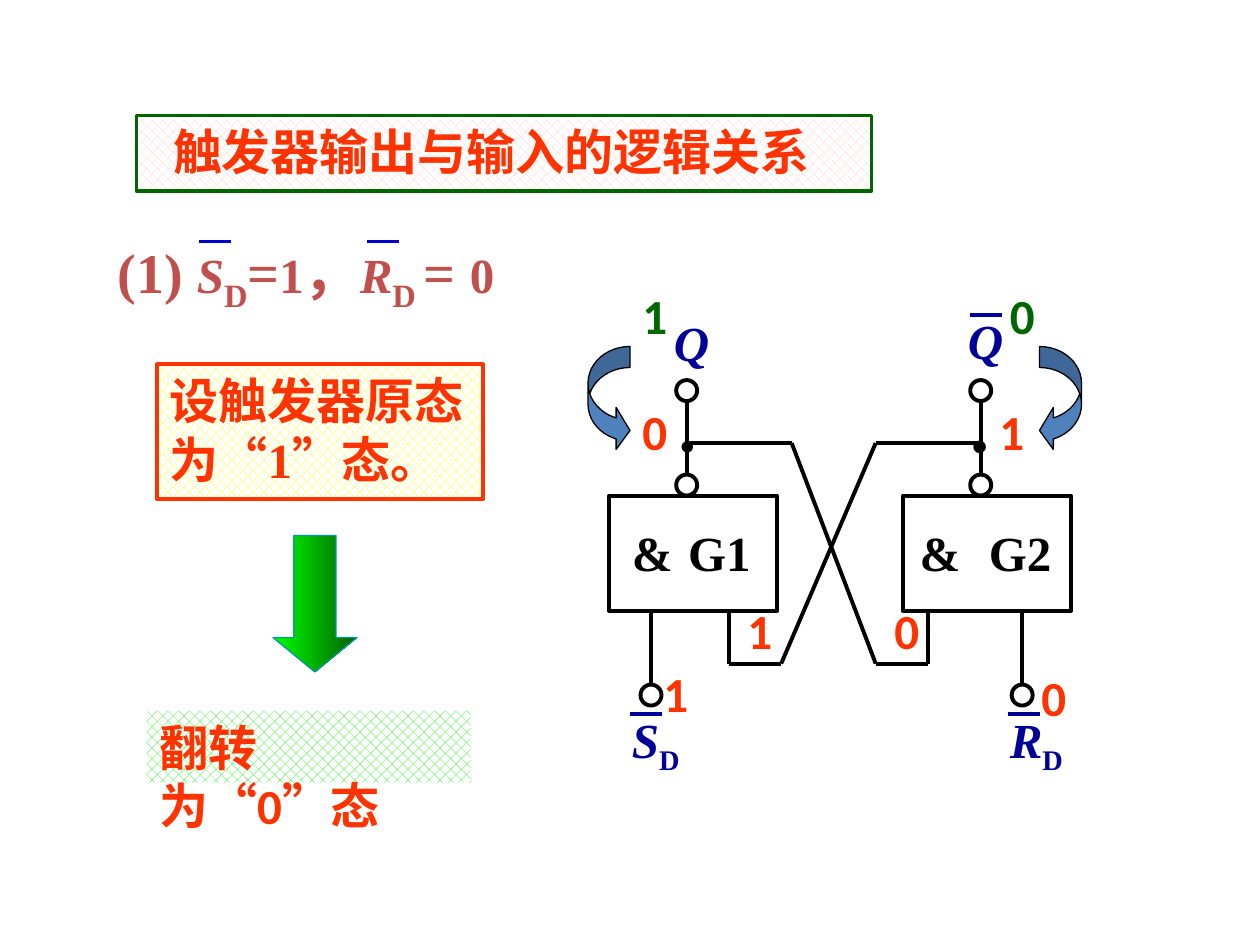
"""Build the slide on the output and input logic of an RS flip-flop."""
from lxml import etree
from pptx import Presentation
from pptx import util as u
from pptx.dml.color import RGBColor
from pptx.enum import dml, shapes, text
from pptx.oxml.ns import qn

COLS, ROWS = 120, 90
CELL = u.Inches(10) / COLS
SERIF, SANS = "Times New Roman", "Calibri"
RED = RGBColor(0xFF, 0x33, 0x00)
GREEN = RGBColor(0x00, 0x66, 0x00)
NAVY = RGBColor(0x00, 0x00, 0x99)
BLUE = RGBColor(0x00, 0x00, 0xCC)
BRICK = RGBColor(0xC0, 0x50, 0x4D)
BLACK = RGBColor(0x00, 0x00, 0x00)
WHITE = RGBColor(0xFF, 0xFF, 0xFF)
PINK = RGBColor(0xFF, 0xCC, 0xCC)
YELLOW = RGBColor(0xFF, 0xFF, 0x00)
LIME = RGBColor(0x00, 0xFF, 0x00)
DARK_LIME = RGBColor(0x00, 0x60, 0x00)
TEAL = RGBColor(0x00, 0x99, 0x99)
STEEL = RGBColor(0x4F, 0x81, 0xBD)
THICK, THIN = 2.25, 0.75


def cells(*counts):
    return [round(count * CELL) for count in counts]


def write(holder, runs, color, font=SERIF, size=28, wrap=True):
    """Fill a frame with runs given as (text, format) pairs."""
    frame = holder.text_frame
    frame.word_wrap = wrap
    frame.auto_size = text.MSO_AUTO_SIZE.NONE
    frame.vertical_anchor = text.MSO_ANCHOR.TOP
    paragraph = frame.paragraphs[0]
    paragraph.alignment = text.PP_ALIGN.LEFT
    for words, look in runs:
        run = paragraph.add_run()
        run.text = words
        if "italic" in look:
            run.font.italic = True
        if "size" in look:
            run.font.size = u.Pt(look["size"])
        if "sub" in look:
            run.font._element.set("baseline", "-25000")
    paragraph.font.name = font
    paragraph.font.size = u.Pt(size)
    paragraph.font.bold = True
    paragraph.font.color.rgb = color


def label(slide, at, runs, color=BLACK, **style):
    holder = slide.shapes.add_textbox(*cells(*at))
    write(holder, [(runs, {})] if isinstance(runs, str) else runs, color, **style)


def digit(slide, col, row, value, color=RED):
    label(slide, (col, row, 4.85, 6.85), value, color, font=SANS, wrap=False)


def outline(shape, color, width=THICK):
    shape.line.color.rgb = color
    shape.line.width = u.Pt(width)


def hatch(shape, color):
    shape.fill.patterned()
    shape.fill.pattern = dml.MSO_PATTERN.from_xml("pct40")
    shape.fill.fore_color.rgb = color
    shape.fill.back_color.rgb = WHITE


def preset(slide, kind, at):
    shape = slide.shapes.add_shape(kind, *cells(*at))
    shape.shadow.inherit = False
    return shape


def hollow(slide, kind, at):
    shape = preset(slide, kind, at)
    shape.fill.background()
    outline(shape, BLACK)


def wire(slide, start, end, color=BLACK):
    line = slide.shapes.add_connector(
        shapes.MSO_CONNECTOR.STRAIGHT, *cells(*start, *end))
    outline(line, color)
    etree.SubElement(line._element.spPr, qn("a:effectLst"))


def overbar(slide, col, row, color=NAVY):
    wire(slide, (col, row), (col + 3, row), color)


def heading(slide):
    title = slide.shapes.title
    title.left, title.top, title.width, title.height = cells(13, 11, 70, 7.2)
    hatch(title, PINK)
    outline(title, GREEN)
    write(title, [("触发器输出与输入的逻辑关系", {})], RED)
    title.text_frame.margin_left = u.Inches(0.29)


def condition(slide):
    italic, sub, small = {"italic": True, "size": 28}, {"sub": True}, {"size": 28}
    label(slide, (10, 22, 41, 7.6),
          [("(1) ", {}), ("S", italic), ("D", sub), ("=", {}), ("1", small),
           ("，", {}), ("R", italic), ("D ", sub), ("= ", {}), ("0", small)],
          BRICK, size=32)
    for col in (19, 35):
        overbar(slide, col, 23, BLUE)


def state_change(slide):
    rectangle = shapes.MSO_SHAPE.RECTANGLE
    initial = preset(slide, rectangle, (15, 34.7, 31, 12.85))
    hatch(initial, YELLOW)
    outline(initial, RED)
    write(initial, [("设触发器原态为“1”态。", {})], RED)

    arrow = preset(slide, shapes.MSO_SHAPE.DOWN_ARROW, (26, 51, 8, 13))
    arrow.adjustments[1] = 0.41
    arrow.fill.gradient()
    arrow.fill.gradient_angle = 0
    for stop, color, place in zip(arrow.fill.gradient_stops, (LIME, DARK_LIME), (0, 1)):
        stop.color.rgb = color
        stop.position = place
    outline(arrow, TEAL, THIN)

    flipped = preset(slide, rectangle, (14, 67.7, 30.85, 6.85))
    hatch(flipped, LIME)
    flipped.line.fill.background()
    write(flipped, [("翻转为“0”态", {})], RED, font=SANS)


def gate(slide, left, outer, inner, stub_end, cross_top):
    """Draw one NAND gate with its terminals and half of the feedback."""
    oval = shapes.MSO_SHAPE.OVAL
    middle = left + 7.4
    output_row, top, bottom, feedback_row, input_row = 42.2, 47.2, 58.2, 63.2, 65.2
    hollow(slide, shapes.MSO_SHAPE.RECTANGLE, (left, top, 16, bottom - top))
    for col, row in ((middle, 36.2), (middle, 45.2), (outer, input_row)):
        hollow(slide, oval, (col - 1, row, 2, 2))
    for start, end in (((middle, 45.2), (middle, 38.2)),
                       ((middle, output_row), (cross_top, output_row)),
                       ((outer, bottom), (outer, input_row)),
                       ((inner, bottom), (inner, feedback_row)),
                       ((inner, feedback_row), (stub_end, feedback_row))):
        wire(slide, start, end)


def circuit(slide):
    gate(slide, 58, outer=62, inner=69.4, stub_end=74.4, cross_top=75.4)
    gate(slide, 86, outer=97.35, inner=88.35, stub_end=83.4, cross_top=83.4)
    wire(slide, (75.4, 42.2), (83.4, 63.2))
    wire(slide, (83.4, 42.2), (74.4, 63.2))

    for col, width, name in ((59, 7, "&"), (64.35, 9.6, "G1"),
                             (86.4, 7, "&"), (93, 12, "G2")):
        label(slide, (col, 49.2, width, 6.85), name)
    for col, font in ((63.35, SANS), (91.3, SERIF)):
        label(slide, (col, 35.15, 4.1, 10), ".", font=font, size=44, wrap=False)
    for col, row, width in ((63, 29.15, 7.4), (91, 29, 7)):
        label(slide, (col, row, width, 6.85), [("Q", {"italic": True})], NAVY, wrap=False)
    overbar(slide, 92.4, 30)
    for col, width, name in ((59, 7.9, "S"), (95, 8.4, "R")):
        label(slide, (col, 67, width, 6.85),
              [(name, {"italic": True}), ("D", {"sub": True})], NAVY, wrap=False)
        overbar(slide, col + 1, 68)


def levels(slide):
    for col, row, value in ((62, 62.65, "1"), (98, 63, "0"),
                            (70, 56.65, "1"), (84, 56.65, "0"),
                            (60, 37.65, "0"), (94, 37.65, "1")):
        digit(slide, col, row, value)
    for col, value in ((60, "1"), (95, "0")):
        digit(slide, col, 26.6, value, GREEN)
    for kind, col in ((shapes.MSO_SHAPE.CURVED_RIGHT_ARROW, 56),
                      (shapes.MSO_SHAPE.CURVED_LEFT_ARROW, 99)):
        turn = preset(slide, kind, (col, 33, 4, 10))
        for index, share in enumerate((0.5, 1, 0.33)):
            turn.adjustments[index] = share
        turn.fill.solid()
        turn.fill.fore_color.rgb = STEEL
        outline(turn, BLACK, THIN)


def main():
    deck = Presentation()
    deck.slide_width, deck.slide_height = cells(COLS, ROWS)
    slide = deck.slides.add_slide(deck.slide_layouts[5])
    heading(slide)
    condition(slide)
    state_change(slide)
    circuit(slide)
    levels(slide)
    deck.save("out.pptx")


if __name__ == "__main__":
    main()
